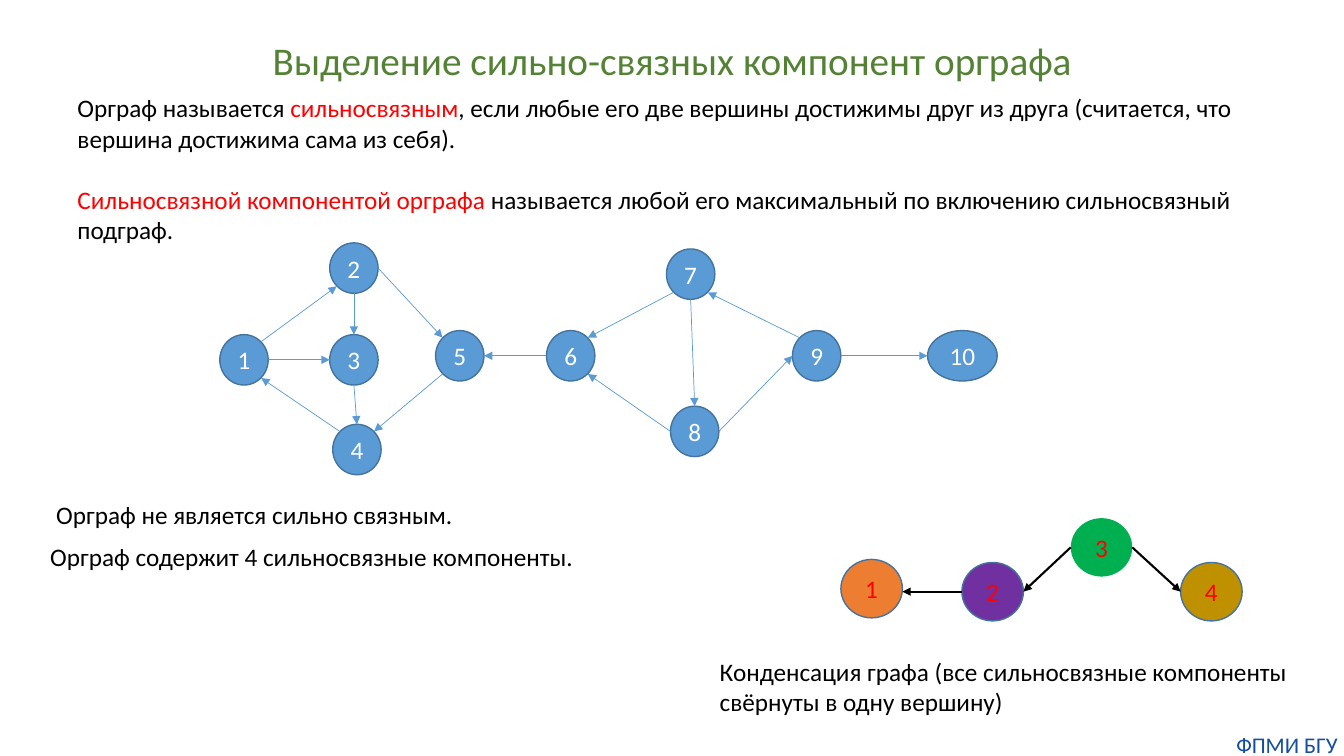
from dataclasses import dataclass
from math import cos, radians, sin
from typing import Optional

from lxml.etree import SubElement
from pptx import Presentation
from pptx.dml.color import RGBColor
from pptx.enum.shapes import MSO_CONNECTOR, MSO_SHAPE
from pptx.enum.text import MSO_ANCHOR, MSO_AUTO_SIZE, PP_ALIGN
from pptx.oxml.ns import qn
from pptx.slide import Slide
from pptx.util import Emu, Pt

PX = 9144  # EMU per px, 100 px to the inch


@dataclass(frozen=True)
class Theme:
    font: str = "Calibri"
    title_size: int = 28
    body_size: int = 18
    footer_size: int = 16
    title: str = "548235"
    text: str = "000000"
    accent: str = "FF0000"
    footer: str = "144E9D"
    vertex: str = "5B9BD5"
    outline: str = "43739E"
    label: str = "FFFFFF"
    orange: str = "ED7D31"
    purple: str = "7030A0"
    green: str = "00B050"
    gold: str = "BF9000"


THEME = Theme()


@dataclass(frozen=True)
class Span:
    text: str
    color: str = THEME.text
    size: int = THEME.body_size


@dataclass(frozen=True)
class TextBlock:
    left: int
    top: int
    width: int
    height: int
    paragraphs: list[list[Span]]
    align: PP_ALIGN = PP_ALIGN.LEFT
    wrap: bool = True
    inset: bool = True
    gap: int = 0  # points between paragraphs


@dataclass(frozen=True)
class Vertex:
    label: str
    left: int
    top: int
    width: int = 48
    height: int = 50
    fill: str = THEME.vertex
    outline: Optional[str] = THEME.outline
    label_color: str = THEME.label

    def rim(self, side: str) -> tuple[int, int]:
        """Point on the ellipse in a compass direction."""
        angle = radians(COMPASS.index(side) * 45)
        return (round(self.left + self.width / 2 * (1 + cos(angle))),
                round(self.top + self.height / 2 * (1 + sin(angle))))


@dataclass(frozen=True)
class Arc:
    source: str
    source_side: str
    target: str
    target_side: str
    level: bool = False  # keep the arrow horizontal


COMPASS = ["E", "SE", "S", "SW", "W", "NW", "N", "NE"]

TEXTS = [
    TextBlock(259, 31, 815, 57, [
        [Span("Выделение сильно-связных компонент орграфа", THEME.title, THEME.title_size)],
    ], PP_ALIGN.CENTER),
    TextBlock(67, 87, 1220, 162, [
        [Span("Орграф называется "), Span("сильносвязным", THEME.accent),
         Span(", если любые его две вершины достижимы друг из друга "
              "(считается, что вершина достижима сама из себя).")],
        [Span("Сильносвязной компонентой орграфа ", THEME.accent),
         Span("называется любой его максимальный по включению сильносвязный подграф.")],
    ], gap=22),
    TextBlock(46, 490, 440, 40, [[Span("Орграф не является сильно связным.")]], wrap=False),
    TextBlock(40, 532, 550, 40, [[Span("Орграф содержит 4 сильносвязные компоненты.")]],
              wrap=False),
    TextBlock(704, 646, 606, 71, [
        [Span("Конденсация графа (все сильносвязные компоненты свёрнуты в одну вершину)")],
    ]),
    TextBlock(1220, 725, 113, 27, [[Span("ФПМИ БГУ", THEME.footer, THEME.footer_size)]],
              PP_ALIGN.CENTER, inset=False),
]

DIGRAPH = [
    Vertex("1", 218, 332), Vertex("2", 327, 241), Vertex("3", 327, 332),
    Vertex("4", 330, 421), Vertex("5", 432, 328), Vertex("6", 542, 328),
    Vertex("7", 661, 247), Vertex("8", 665, 403), Vertex("9", 786, 328),
    Vertex("10", 920, 328, width=69),
]
DIGRAPH_ARCS = [
    Arc("1", "NE", "2", "SW"), Arc("2", "E", "5", "NW"), Arc("5", "SW", "4", "NE"),
    Arc("2", "S", "3", "N"), Arc("3", "S", "4", "N"), Arc("4", "NW", "1", "SE"),
    Arc("1", "E", "3", "W"), Arc("6", "W", "5", "E"), Arc("7", "S", "8", "N"),
    Arc("8", "E", "9", "W"), Arc("9", "NW", "7", "SE"), Arc("7", "SW", "6", "NE"),
    Arc("8", "W", "6", "SE"), Arc("9", "E", "10", "W"),
]

CONDENSATION = [
    Vertex("1", 834, 555, 61, 58, THEME.orange, label_color=THEME.accent),
    Vertex("2", 954, 558, 61, 58, THEME.purple, label_color=THEME.accent),
    Vertex("3", 1062, 514, 61, 58, THEME.green, None, THEME.accent),
    Vertex("4", 1171, 558, 61, 58, THEME.gold, label_color=THEME.accent),
]
CONDENSATION_ARCS = [
    Arc("2", "W", "1", "E", level=True), Arc("3", "W", "2", "E"), Arc("3", "E", "4", "W"),
]


def emu(*lengths: int) -> list[Emu]:
    return [Emu(length * PX) for length in lengths]


def add_span(paragraph, span: Span) -> None:
    run = paragraph.add_run()
    run.text = span.text
    run.font.name = THEME.font
    run.font.size = Pt(span.size)
    run.font.color.rgb = RGBColor.from_string(span.color)


def add_text(slide: Slide, block: TextBlock) -> None:
    box = slide.shapes.add_textbox(*emu(block.left, block.top, block.width, block.height))
    frame = box.text_frame
    frame.word_wrap = block.wrap
    frame.auto_size = MSO_AUTO_SIZE.SHAPE_TO_FIT_TEXT
    if not block.inset:
        frame.margin_left = frame.margin_right = frame.margin_top = frame.margin_bottom = 0
    for index, spans in enumerate(block.paragraphs):
        paragraph = frame.add_paragraph() if index else frame.paragraphs[0]
        paragraph.alignment = block.align
        if index:
            paragraph.space_before = Pt(block.gap)
        for span in spans:
            add_span(paragraph, span)


def add_vertex(slide: Slide, vertex: Vertex) -> None:
    ellipse = slide.shapes.add_shape(
        MSO_SHAPE.OVAL, *emu(vertex.left, vertex.top, vertex.width, vertex.height))
    ellipse.shadow.inherit = False
    ellipse.fill.solid()
    ellipse.fill.fore_color.rgb = RGBColor.from_string(vertex.fill)
    if vertex.outline:
        ellipse.line.color.rgb = RGBColor.from_string(vertex.outline)
        ellipse.line.width = Pt(1)
    else:
        ellipse.line.fill.background()
    ellipse.text_frame.vertical_anchor = MSO_ANCHOR.MIDDLE
    paragraph = ellipse.text_frame.paragraphs[0]
    paragraph.alignment = PP_ALIGN.CENTER
    add_span(paragraph, Span(vertex.label, vertex.label_color))


def add_arrow(slide: Slide, start: tuple[int, int], end: tuple[int, int],
              color: str, width: float) -> None:
    arrow = slide.shapes.add_connector(MSO_CONNECTOR.STRAIGHT, *emu(*start, *end))
    arrow.line.color.rgb = RGBColor.from_string(color)
    arrow.line.width = Pt(width)
    properties = arrow._element.spPr
    SubElement(properties.find(qn("a:ln")), qn("a:tailEnd"), type="triangle")
    SubElement(properties, qn("a:effectLst"))


def add_graph(slide: Slide, vertices: list[Vertex], arcs: list[Arc],
              color: str, width: float) -> None:
    by_label = {vertex.label: vertex for vertex in vertices}
    for vertex in vertices:
        add_vertex(slide, vertex)
    for arc in arcs:
        start = by_label[arc.source].rim(arc.source_side)
        end = by_label[arc.target].rim(arc.target_side)
        add_arrow(slide, start, (end[0], start[1]) if arc.level else end, color, width)


def main() -> None:
    deck = Presentation()
    deck.slide_width, deck.slide_height = emu(1333, 750)
    slide = deck.slides.add_slide(deck.slide_layouts[6])
    # Title, definitions, conclusions and footer
    for block in TEXTS:
        add_text(slide, block)
    # Digraph and its condensation
    add_graph(slide, DIGRAPH, DIGRAPH_ARCS, THEME.vertex, 0.5)
    add_graph(slide, CONDENSATION, CONDENSATION_ARCS, THEME.text, 1.5)
    deck.save("out.pptx")


if __name__ == "__main__":
    main()
